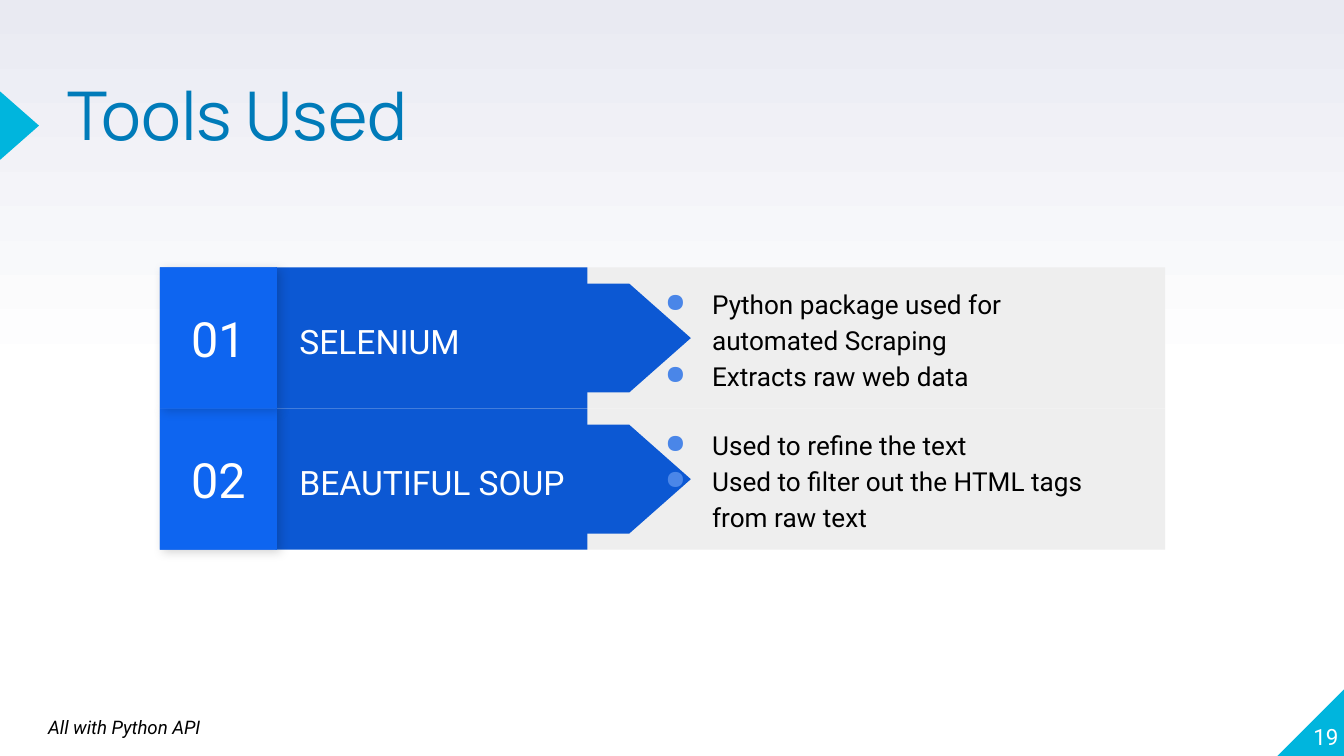
from copy import deepcopy

from lxml import etree
from pptx import Presentation
from pptx.dml.color import RGBColor
from pptx.enum.shapes import MSO_SHAPE
from pptx.enum.text import MSO_ANCHOR, PP_ALIGN
from pptx.oxml.ns import qn
from pptx.util import Inches, Pt

RECT = MSO_SHAPE.RECTANGLE
TRIANGLE = MSO_SHAPE.ISOSCELES_TRIANGLE
CORNER = MSO_SHAPE.RIGHT_TRIANGLE
POINTER = MSO_SHAPE.FLOWCHART_OFFPAGE_CONNECTOR
TOP, MIDDLE, BOTTOM = MSO_ANCHOR.TOP, MSO_ANCHOR.MIDDLE, MSO_ANCHOR.BOTTOM
LEFT, CENTER, RIGHT = PP_ALIGN.LEFT, PP_ALIGN.CENTER, PP_ALIGN.RIGHT

COLORS = {
    "white": "FFFFFF", "black": "000000", "haze": "E9EAF2", "cyan": "00B5DD",
    "title": "007BB9", "panel": "EEEEEE", "label": "0C58D3",
    "shade": "0D5DDF", "number": "0E65F0", "bullet": "4A86E8",
}


def add_shape(shapes, kind, at, color, rotation=0):
    sp = shapes.add_shape(kind, *map(Inches, at))
    sp.shadow.inherit = False
    sp.fill.solid()
    sp.fill.fore_color.rgb = RGBColor.from_string(COLORS[color])
    sp.line.fill.background()
    sp.rotation = rotation
    return sp


def write(sp, lines, size, color, font="Roboto", italic=None, inset=0.1,
          anchor=TOP, align=LEFT, spacing=1.0, bullets=False):
    tf = sp.text_frame
    frame = {"word_wrap": True, "vertical_anchor": anchor}
    frame.update({f"margin_{side}": Inches(inset) for side in ("left", "top", "right", "bottom")})
    for name, value in frame.items():
        setattr(tf, name, value)
    for i, line in enumerate(lines):
        p = tf.paragraphs[0] if i == 0 else tf.add_paragraph()
        p.alignment, p.line_spacing = align, spacing
        if bullets:
            pPr = p._p.get_or_add_pPr()
            pPr.set("marL", str(Inches(0.5)))
            pPr.set("indent", str(Inches(-0.35)))
            clr = etree.SubElement(pPr, qn("a:buClr"))
            etree.SubElement(clr, qn("a:srgbClr"), val=COLORS["bullet"])
            etree.SubElement(pPr, qn("a:buChar"), char="●")
        r = p.add_run()
        r.text = line
        for name, value in {"name": font, "size": Pt(size), "italic": italic}.items():
            setattr(r.font, name, value)
        r.font.color.rgb = RGBColor.from_string(COLORS[color])


prs = Presentation()
prs.slide_width = Inches(10)
prs.slide_height = Inches(10) * 9 // 16
s = prs.slides.add_slide(prs.slide_layouts[6])

fill = s.background.fill
fill.gradient()
fill.gradient_angle = 90
for stop, color in zip(fill.gradient_stops, ("white", "haze")):
    stop.color.rgb = RGBColor.from_string(COLORS[color])
first = next(s.element.iter(qn("a:gs")))
middle = deepcopy(first)
middle.set("pos", "50000")
first.addnext(middle)

corner = add_shape(s.shapes, CORNER, (9.5, 5.12, 0.51, 0.51), "cyan")
corner._element.spPr.find(qn("a:xfrm")).set("flipH", "1")
add_shape(s.shapes, TRIANGLE, (-0.11, 0.79, 0.51, 0.29), "cyan", 90)

title = s.shapes.add_textbox(*map(Inches, (0.5, 0.66, 6.17, 0.79)))
write(title, ["Tools Used"], 36, "title", font="Manrope", inset=0, spacing=0.8)
page = s.shapes.add_textbox(*map(Inches, (9.46, 5.07, 0.5, 0.51)))
write(page, ["19"], 12, "white", inset=0, anchor=BOTTOM, align=RIGHT)

ROW_TOP, ROW_H = 1.99, 1.05
tools = [
    ("SELENIUM", ["Python package used for automated Scraping", "Extracts raw web data"]),
    ("BEAUTIFUL SOUP", ["Used to refine the text",
                        "Used to filter out the HTML tags from raw text"]),
]
for i, (name, points) in reversed(list(enumerate(tools))):
    y = ROW_TOP + i * ROW_H
    row = s.shapes.add_group_shape().shapes
    add_shape(row, RECT, (3.87, y, 4.8, ROW_H), "panel")
    add_shape(row, RECT, (2.05, y, 2.32, ROW_H), "label")
    add_shape(row, POINTER, (3.59, y - 0.62, 0.81, 2.29), "label", 270)
    label = row.add_textbox(*map(Inches, (2.13, y + 0.12, 2.44, 0.81)))
    write(label, [name], 18, "white", anchor=MIDDLE, spacing=1.15)

    shade = add_shape(row, RECT, (1.19, y, 0.87, ROW_H), "shade")
    effects = shade._element.spPr.find(qn("a:effectLst"))
    shadow = etree.SubElement(effects, qn("a:outerShdw"), blurRad=str(Pt(5.6)),
                              dist=str(Pt(2.2)), dir="2700000", rotWithShape="0")
    clr = etree.SubElement(shadow, qn("a:srgbClr"), val=COLORS["black"])
    etree.SubElement(clr, qn("a:alpha"), val="16000")

    number = add_shape(row, RECT, (1.19, y, 0.87, ROW_H), "number")
    write(number, [f"{i + 1:02d}"], 26, "white", anchor=MIDDLE, align=CENTER)
    details = row.add_textbox(*map(Inches, (4.7, y, 3.73, ROW_H)))
    write(details, points, 14, "black", anchor=MIDDLE, spacing=1.15, bullets=True)

footer = s.shapes.add_textbox(*map(Inches, (0.26, 5.24, 1.89, 0.28)))
write(footer, ["All with Python API"], 10, "black", italic=True)

prs.save("out.pptx")
